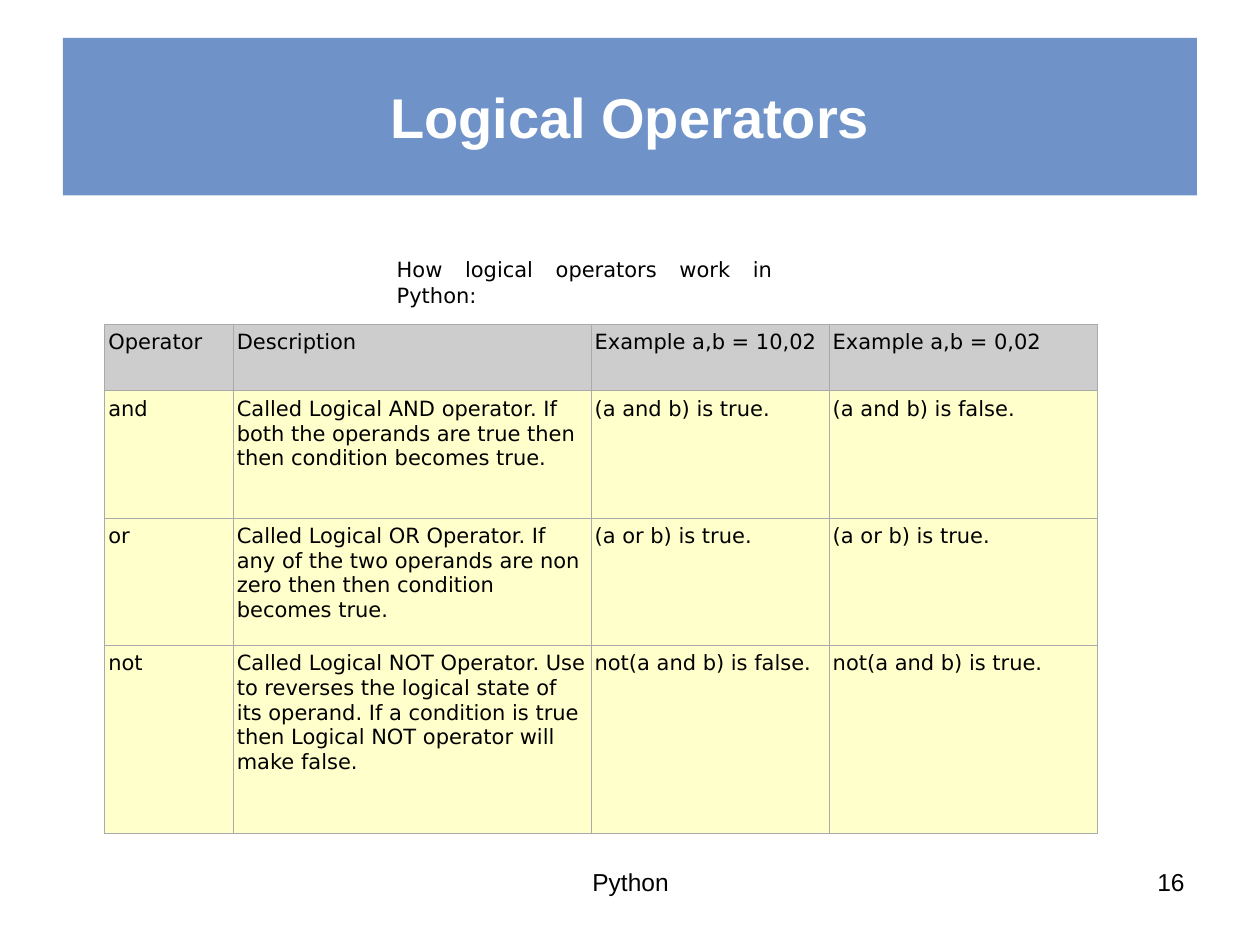
from lxml.etree import SubElement
from pptx import Presentation
from pptx.dml.color import RGBColor
from pptx.enum.shapes import MSO_SHAPE
from pptx.enum.text import MSO_ANCHOR, PP_ALIGN
from pptx.oxml.ns import qn
from pptx.util import Inches, Pt

COLORS = {
    "banner": "4775B9",
    "header": "CDCDCD",
    "body": "FFFFCC",
    "border": "AAAAAA",
    "white": "FFFFFF",
    "black": "000000",
}
COLUMNS = [1.02, 2.84, 1.89, 2.13]
ROWS = [0.53, 1.01, 1.01, 1.49]
OPERATORS = [
    ["Operator", "Description", "Example a,b = 10,02", "Example a,b = 0,02"],
    ["and",
     "Called Logical AND operator. If both the operands are true then then condition becomes true.",
     "(a and b) is true.", "(a and b) is false."],
    ["or",
     "Called Logical OR Operator. If any of the two operands are non zero then then condition becomes true.",
     "(a or b) is true.", "(a or b) is true."],
    ["not",
     "Called Logical NOT Operator. Use to reverses the logical state of its operand. "
     "If a condition is true then Logical NOT operator will make false.",
     "not(a and b) is false.", "not(a and b) is true."],
]


def rgb(name):
    return RGBColor.from_string(COLORS[name])


def write(tf, text, size=12, font="DejaVu Sans", color="black", bold=False,
          align=PP_ALIGN.LEFT):
    tf.word_wrap = True
    p = tf.paragraphs[0]
    p.alignment = align
    r = p.add_run()
    r.text = text
    r.font.size = Pt(size)
    r.font.name = font
    r.font.bold = bold
    r.font.color.rgb = rgb(color)


def add_banner(s, text):
    sp = s.shapes.add_shape(MSO_SHAPE.RECTANGLE, Inches(0.5), Inches(0.3),
                            Inches(9), Inches(1.25))
    sp.shadow.inherit = False
    sp.line.fill.background()
    sp.fill.solid()
    sp.fill.fore_color.rgb = rgb("banner")
    fill = sp.fill._xPr.find(qn("a:solidFill"))
    SubElement(fill[0], qn("a:alpha"), val="78000")
    sp.text_frame.vertical_anchor = MSO_ANCHOR.MIDDLE
    write(sp.text_frame, text, size=32, font="Arial", color="white", bold=True,
          align=PP_ALIGN.CENTER)


def add_text(s, text, left, top, width, height, anchor=MSO_ANCHOR.TOP, **style):
    sp = s.shapes.add_textbox(Inches(left), Inches(top), Inches(width), Inches(height))
    sp.text_frame.vertical_anchor = anchor
    write(sp.text_frame, text, **style)


def set_borders(cell):
    tcPr = cell._tc.get_or_add_tcPr()
    for i, side in enumerate(("lnL", "lnR", "lnT", "lnB")):
        ln = tcPr.makeelement(qn(f"a:{side}"), {"w": str(Pt(0.34))})
        fill = SubElement(ln, qn("a:solidFill"))
        SubElement(fill, qn("a:srgbClr"), val=COLORS["border"])
        tcPr.insert(i, ln)


def add_operator_table(s):
    table = s.shapes.add_table(len(ROWS), len(COLUMNS), Inches(0.83), Inches(2.57),
                               Inches(sum(COLUMNS)), Inches(sum(ROWS))).table
    for column, width in zip(table.columns, COLUMNS):
        column.width = Inches(width)
    for i, (row, height) in enumerate(zip(table.rows, ROWS)):
        row.height = Inches(height)
        for cell, text in zip(row.cells, OPERATORS[i]):
            cell.margin_left = cell.margin_right = Inches(0.03)
            cell.margin_top = cell.margin_bottom = Inches(0.05)
            cell.fill.solid()
            cell.fill.fore_color.rgb = rgb("body" if i else "header")
            set_borders(cell)
            write(cell.text_frame, text)


def main():
    prs = Presentation()
    prs.slide_width, prs.slide_height = Inches(10), Inches(7.5)
    s = prs.slides.add_slide(prs.slide_layouts[6])
    add_banner(s, "Logical Operators")
    add_operator_table(s)
    add_text(s, "How logical operators work in Python:", 3.05, 2.09, 3.18, 0.3,
             anchor=MSO_ANCHOR.MIDDLE, align=PP_ALIGN.JUSTIFY)
    add_text(s, "16", 7.17, 6.83, 2.33, 0.52, size=14, font="Arial",
             align=PP_ALIGN.RIGHT)
    add_text(s, "Python", 3.42, 6.83, 3.17, 0.52, size=14, font="Arial",
             align=PP_ALIGN.CENTER)
    prs.save("out.pptx")


if __name__ == "__main__":
    main()
